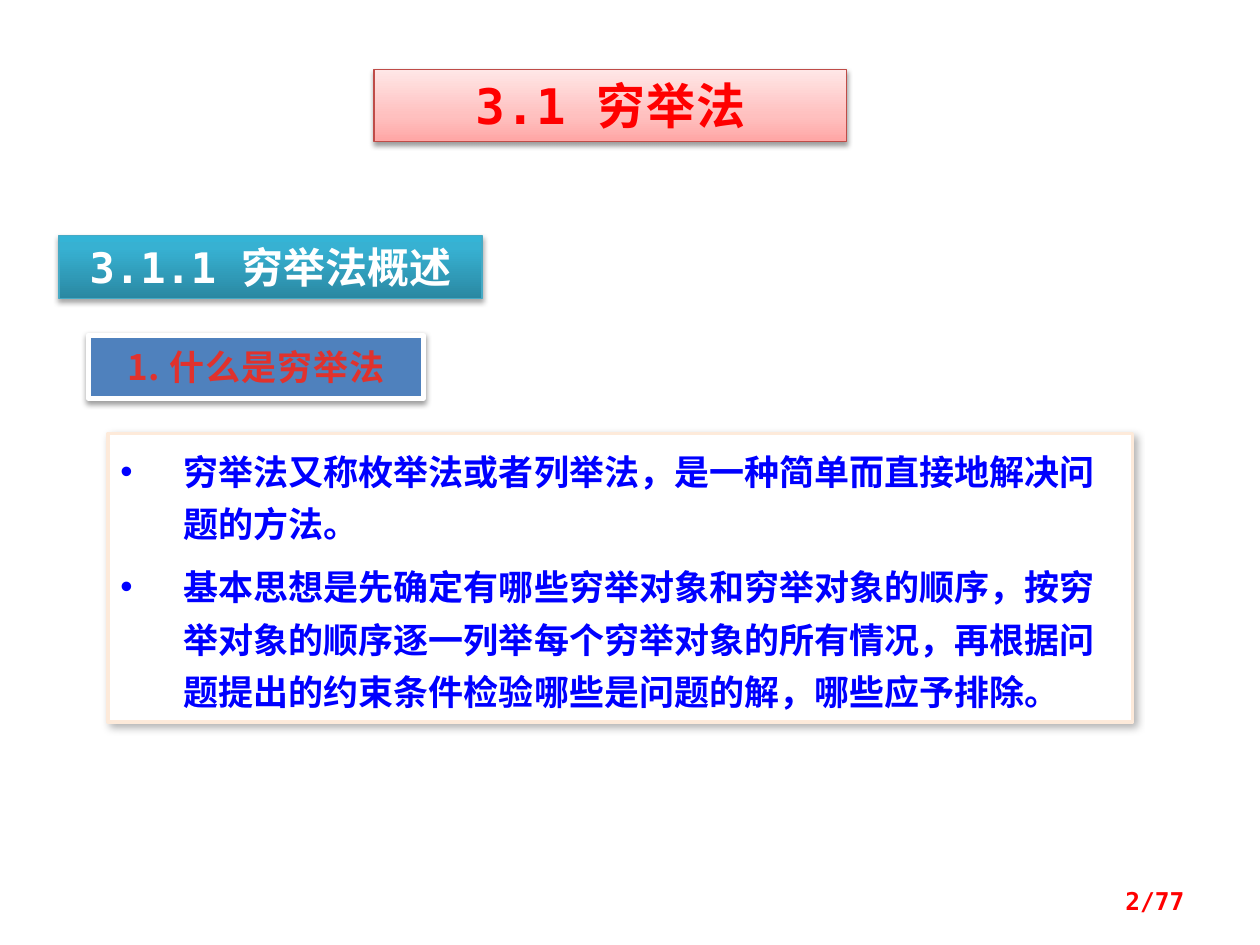
from dataclasses import dataclass

from lxml.etree import SubElement
from pptx import Presentation
from pptx.dml.color import RGBColor
from pptx.enum.shapes import MSO_SHAPE as Shape
from pptx.enum.text import MSO_ANCHOR as Anchor, MSO_AUTO_SIZE as AutoSize, PP_ALIGN as Align
from pptx.oxml.ns import qn
from pptx.util import Cm, Pt


@dataclass(frozen=True)
class Theme:
    mono: str = "DejaVu Sans Mono"
    sans: str = "Noto Sans CJK SC"
    red: str = "FF0000"
    white: str = "FFFFFF"
    blue: str = "0000FF"
    topic_text: str = "E0322D"
    topic_fill: str = "4F81BD"
    chapter_line: str = "BF4C48"
    section_line: str = "46AAC5"
    body_line: str = "FDEADA"
    shadow: str = "000000"
    chapter_stops: tuple = ((0, "FFA6A5"), (35, "FFC0BF"), (100, "FFE7E7"))
    section_stops: tuple = ((0, "2A88A2"), (80, "37B1D2"), (100, "34B4D6"))
    chapter_size: int = 28
    section_size: int = 24
    body_size: int = 20
    page_size: int = 14


THEME = Theme()
POINTS = [
    "穷举法又称枚举法或者列举法，是一种简单而直接地解决问题的方法。",
    "基本思想是先确定有哪些穷举对象和穷举对象的顺序，按穷举对象的顺序逐一列举每个穷举对象的所有情况，"
    "再根据问题提出的约束条件检验哪些是问题的解，哪些应予排除。",
]


def add_node(parent, tag, **attributes):
    return SubElement(parent, qn(tag), {key: str(value) for key, value in attributes.items()})


def fill_gradient(panel, stops):
    gradient = add_node(panel._element.spPr, "a:gradFill", rotWithShape=1)
    stop_list = add_node(gradient, "a:gsLst")
    for position, color in stops:
        stop = add_node(stop_list, "a:gs", pos=position * 1000)
        add_node(stop, "a:srgbClr", val=color)
    add_node(gradient, "a:lin", ang=270 * 60000, scaled=0)


def cast_shadow(panel, opacity, blur, distance, angle):
    panel.shadow.inherit = False
    effects = panel._element.spPr.find(qn("a:effectLst"))
    shadow = add_node(effects, "a:outerShdw", blurRad=Pt(blur), dist=Pt(distance),
                      dir=angle * 60000, rotWithShape=0)
    color = add_node(shadow, "a:srgbClr", val=THEME.shadow)
    add_node(color, "a:alpha", val=opacity * 1000)


def add_panel(slide, box, fill, line, line_width, shadow):
    panel = slide.shapes.add_shape(Shape.RECTANGLE, *map(Cm, box))
    if isinstance(fill, tuple):
        fill_gradient(panel, fill)
    else:
        panel.fill.solid()
        panel.fill.fore_color.rgb = RGBColor.from_string(fill)
    panel.line.color.rgb = RGBColor.from_string(line)
    panel.line.width = Pt(line_width)
    cast_shadow(panel, *shadow)
    frame = panel.text_frame
    frame.word_wrap = True
    frame.vertical_anchor = Anchor.TOP
    frame.auto_size = AutoSize.SHAPE_TO_FIT_TEXT
    return frame


def style_paragraph(paragraph, text, font, size, color, align, spacing=0):
    paragraph.text = text
    paragraph.alignment = align
    paragraph.font.name = font
    paragraph.font.size = Pt(size)
    paragraph.font.bold = True
    paragraph.font.color.rgb = RGBColor.from_string(color)
    defaults = paragraph._p.pPr.find(qn("a:defRPr"))
    add_node(defaults, "a:ea", typeface=THEME.sans)
    if spacing:
        defaults.set("spc", str(int(spacing * 100)))


def add_bullets(frame, points):
    for index, point in enumerate(points):
        paragraph = frame.add_paragraph() if index else frame.paragraphs[0]
        paragraph.line_spacing = Pt(30)
        if index:
            paragraph.space_before = Pt(6)
        properties = paragraph._p.get_or_add_pPr()
        properties.set("marL", str(Cm(1.27)))
        properties.set("indent", str(-Cm(1.27)))
        add_node(properties, "a:buFont", typeface="Arial")
        add_node(properties, "a:buChar", char="•")
        style_paragraph(paragraph, point, THEME.sans, THEME.body_size, THEME.blue, Align.LEFT)


def add_page_number(slide, text):
    frame = slide.shapes.add_textbox(Cm(18.21), Cm(17.65), Cm(5.92), Cm(1.02)).text_frame
    frame.word_wrap = True
    frame.vertical_anchor = Anchor.MIDDLE
    style_paragraph(frame.paragraphs[0], text, THEME.mono, THEME.page_size, THEME.red, Align.RIGHT)


def main():
    deck = Presentation()
    deck.slide_width, deck.slide_height = Cm(25.4), Cm(19.05)
    slide = deck.slides.add_slide(deck.slide_layouts[6])

    body = add_panel(slide, (2.18, 8.74, 20.65, 5.82), THEME.white, THEME.body_line, 2,
                     (30, 4.5, 2.6, 53))
    add_bullets(body, POINTS)

    section = add_panel(slide, (1.19, 4.75, 8.53, 1.27), THEME.section_stops,
                        THEME.section_line, 0.75, (35, 3.1, 1.8, 90))
    style_paragraph(section.paragraphs[0], "3.1.1 穷举法概述", THEME.mono,
                    THEME.section_size, THEME.white, Align.CENTER)

    chapter = add_panel(slide, (7.54, 1.4, 9.53, 1.45), THEME.chapter_stops,
                        THEME.chapter_line, 0.75, (38, 3.1, 1.6, 90))
    style_paragraph(chapter.paragraphs[0], "3.1 穷举法", THEME.mono,
                    THEME.chapter_size, THEME.red, Align.CENTER, 0.5)

    topic = add_panel(slide, (1.78, 6.76, 6.76, 1.27), THEME.topic_fill, THEME.white, 3,
                      (38, 3.1, 1.6, 90))
    topic.margin_top = topic.margin_bottom = Cm(0.2)
    style_paragraph(topic.paragraphs[0], "1. 什么是穷举法", THEME.sans,
                    THEME.body_size, THEME.topic_text, Align.CENTER, 0.5)

    add_page_number(slide, "2/77")
    deck.save("out.pptx")


if __name__ == "__main__":
    main()
